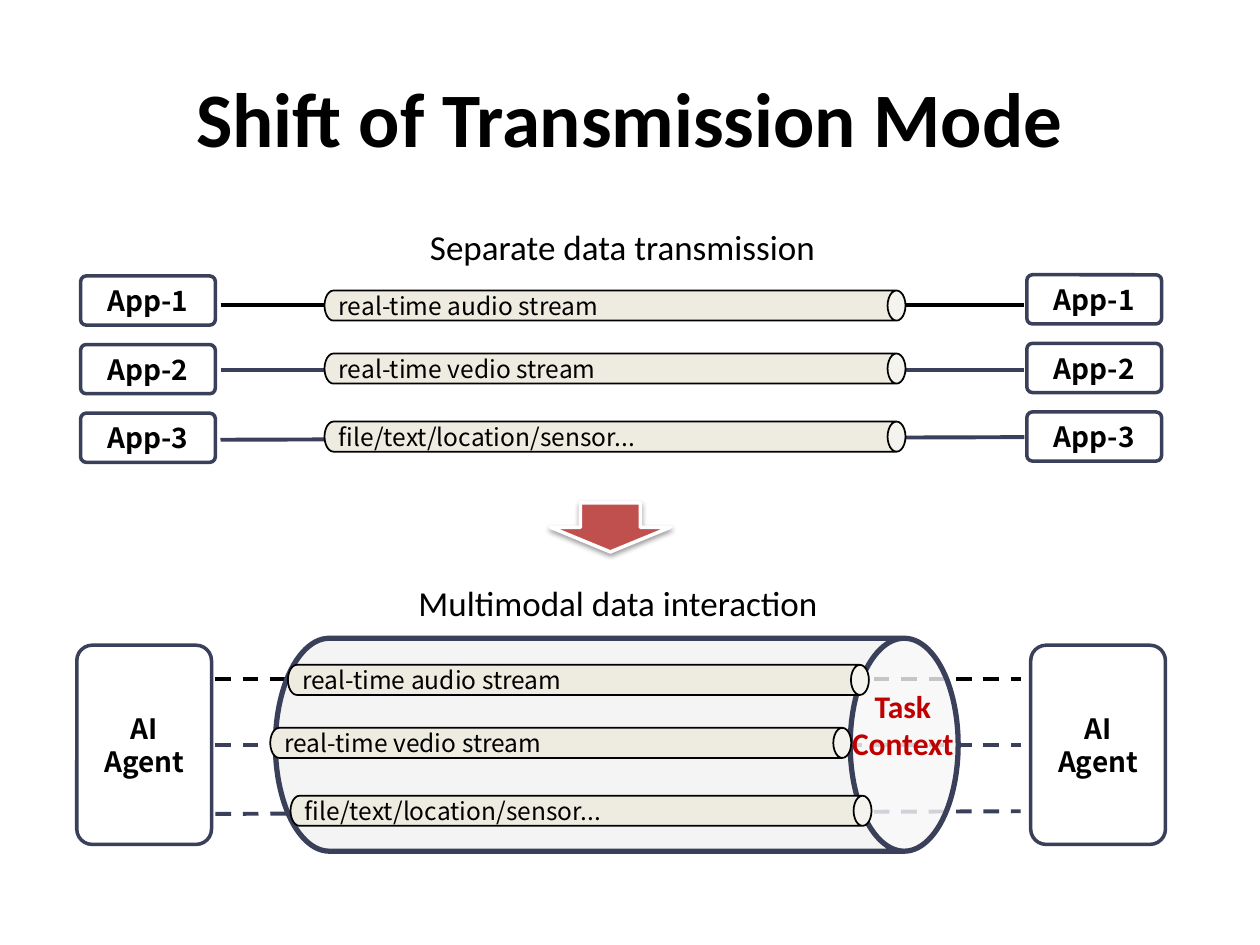
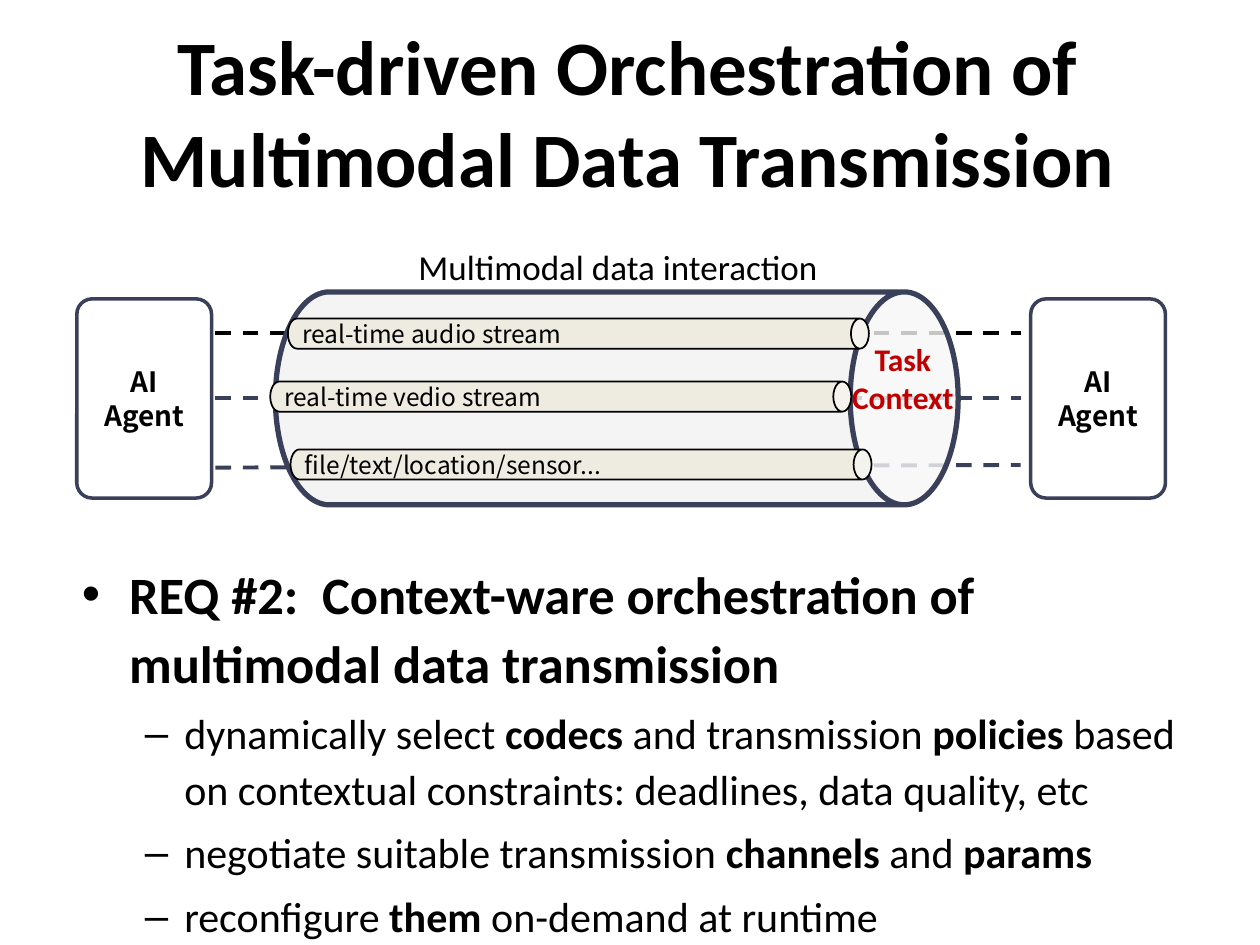
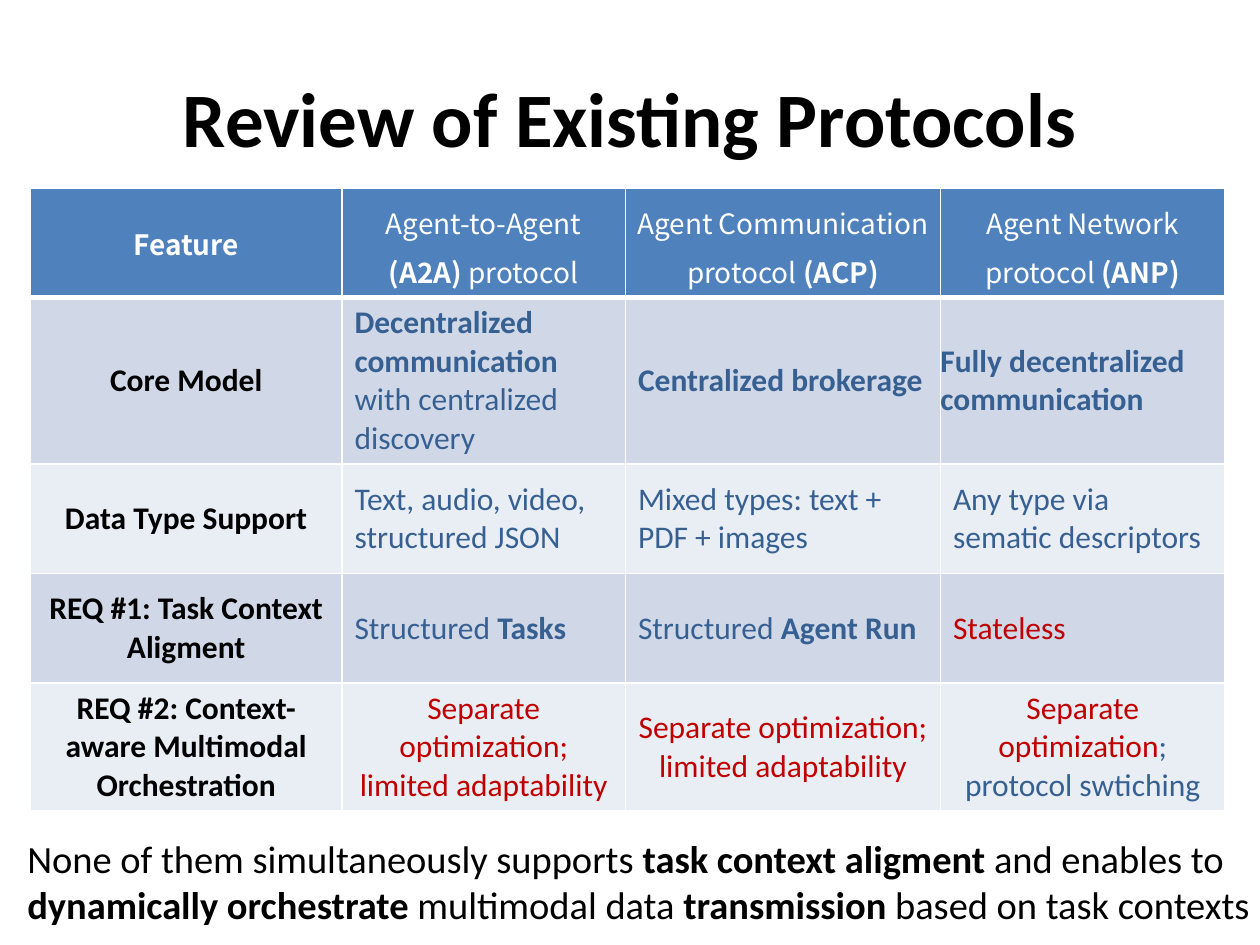
from dataclasses import dataclass
from typing import Any, Optional

from lxml import etree
from pptx import Presentation
from pptx.dml.color import RGBColor
from pptx.enum.dml import MSO_LINE
from pptx.enum.shapes import MSO_CONNECTOR, MSO_SHAPE
from pptx.enum.text import MSO_ANCHOR, MSO_AUTO_SIZE, PP_ALIGN
from pptx.oxml.ns import qn
from pptx.util import Pt

CAN, ROUNDED, DOWN_ARROW = MSO_SHAPE.CAN, MSO_SHAPE.ROUNDED_RECTANGLE, MSO_SHAPE.DOWN_ARROW
STRAIGHT, DASH = MSO_CONNECTOR.STRAIGHT, MSO_LINE.DASH
LEFT, CENTER, MIDDLE = PP_ALIGN.LEFT, PP_ALIGN.CENTER, MSO_ANCHOR.MIDDLE
NO_FIT, GROW = MSO_AUTO_SIZE.NONE, MSO_AUTO_SIZE.SHAPE_TO_FIT_TEXT
TITLE_ONLY, TITLE_AND_BODY = 5, 1


@dataclass(frozen=True)
class Theme:
    sans: str = "Calibri"
    diagram: str = "Noto Sans CJK SC"
    black: str = "000000"
    white: str = "FFFFFF"
    navy: str = "3A405A"
    red: str = "C00000"
    blue: str = "376092"
    header: str = "4F81BD"
    bands: tuple[str, str] = ("D0D8E8", "E9EDF4")
    stream: str = "EEECE1"
    pipe: str = "F2F2F2"
    arrow: str = "C0504D"
    title_size: float = 44
    body_sizes: tuple[float, float] = (30, 24)
    summary_size: float = 22
    label_size: float = 20
    cell_size: float = 18
    box_size: float = 16
    stream_size: float = 14


THEME = Theme()


@dataclass(frozen=True)
class Box:
    left: float
    top: float
    width: float
    height: float

    def lengths(self) -> tuple:
        return Pt(self.left), Pt(self.top), Pt(self.width), Pt(self.height)


@dataclass(frozen=True)
class TextStyle:
    size: float
    font: str = THEME.sans
    color: str = THEME.black
    bold: bool = False
    align: Any = CENTER


@dataclass(frozen=True)
class Stream:
    text: str
    left: float
    center: float


@dataclass(frozen=True)
class Link:
    start: float
    end: float
    color: str = THEME.navy


@dataclass(frozen=True)
class Cell:
    text: str
    color: str = THEME.blue
    align: Any = LEFT
    tail: str = ""
    inset: Optional[float] = None


TITLE = TextStyle(THEME.title_size, bold=True)
LABEL = TextStyle(THEME.label_size)
BOX_TEXT = TextStyle(THEME.box_size, THEME.diagram, bold=True)
STREAM_TEXT = TextStyle(THEME.stream_size, THEME.diagram)
TASK_TEXT = TextStyle(THEME.cell_size, color=THEME.red, bold=True)
TITLE_BOX = Box(36, 21.6, 648, 90)

# Diagram measures
STREAM_LENGTH, STREAM_DEPTH = 332, 17.2
PIPE_LEFT, PIPE_LENGTH, PIPE_DEPTH = 157.3, 390.2, 121.7
BOX_WIDTH, APP_HEIGHT, APP_PITCH = 77, 28.1, 39.2
STREAM_NAMES = ("real-time audio stream", "real-time vedio stream", "file/text/location/sensor...")
SEPARATE_LINKS = (Link(174.2, 174.2, THEME.black), Link(211.7, 211.7), Link(251.3, 249.8))
SEPARATE_CENTERS = (174.6, 210.6, 249.5)
# Offsets from the top of the pipe
PIPE_LINKS = (Link(23.4, 23.4, THEME.black), Link(60.9, 60.9), Link(100.4, 98.9))
PIPE_STREAMS = [Stream(*values) for values in zip(STREAM_NAMES, (164.5, 154.4, 166), (23.8, 59.8, 98.6))]

REQUIREMENT = (
    (0, "**REQ #2:  Context-ware orchestration of multimodal data transmission**"),
    (1, "dynamically select **codecs** and transmission **policies** based on contextual "
        "constraints: deadlines, data quality, etc"),
    (1, "negotiate suitable transmission **channels** and **params**"),
    (1, "reconfigure **them** on-demand at runtime"),
)

COLUMN_WIDTHS = (178, 162, 180, 162.6)
ROW_HEIGHTS = (62.6, 80, 62.6, 62.6, 62.6)
HEADINGS = (
    Cell("**Feature**"),
    Cell("Agent-to-Agent **(A2A) **protocol"),
    Cell("Agent Communication protocol** (ACP)**", inset=3),
    Cell("Agent Network protocol** (ANP)**"),
)
LIMITED = Cell("Separate optimization; limited adaptability", THEME.red, CENTER)
FEATURES = (
    ("Core Model",
     Cell("**Decentralized communication **with centralized discovery"),
     Cell("**Centralized brokerage**"),
     Cell("**Fully decentralized communication**", inset=0)),
    ("Data Type Support",
     Cell("Text, audio, video, structured JSON"),
     Cell("Mixed types: text + PDF + images"),
     Cell("Any type via sematic descriptors")),
    ("REQ #1: Task Context Aligment",
     Cell("Structured **Tasks**"),
     Cell("Structured **Agent Run**"),
     Cell("Stateless", THEME.red)),
    ("REQ #2: Context-aware Multimodal Orchestration",
     LIMITED,
     LIMITED,
     Cell("Separate optimization", THEME.red, CENTER, tail="; protocol swtiching")),
)
SUMMARY = ("None of them simultaneously supports **task context aligment **and enables to "
           "**dynamically orchestrate** multimodal data **transmission** based on task contexts")


# Formatting helpers
def apply(target: Any, values: dict) -> None:
    for name, value in values.items():
        setattr(target, name, value)


def rgb(color: str) -> RGBColor:
    return RGBColor.from_string(color)


def add_runs(paragraph: Any, text: str, style: TextStyle) -> None:
    """Add runs; a pair of ** switches bold on and off."""
    paragraph.alignment = style.align
    for index, part in enumerate(text.split("**")):
        if part:
            run = paragraph.add_run()
            run.text = part
            bold = style.bold or index % 2 == 1
            apply(run.font, {"size": Pt(style.size), "name": style.font, "bold": bold})
            run.font.color.rgb = rgb(style.color)


def set_space_before(paragraph: Any, percent: int) -> None:
    spacing = etree.SubElement(paragraph._p.get_or_add_pPr(), qn("a:spcBef"))
    etree.SubElement(spacing, qn("a:spcPct"), val=str(percent * 1000))


def set_line(line: Any, color: str, width: float) -> None:
    line.color.rgb = rgb(color)
    line.width = Pt(width)


# Drawing functions
def add_title(slide: Any, text: str, box: Box = TITLE_BOX) -> None:
    place_text(slide.shapes.title, box)
    add_runs(slide.shapes.title.text_frame.paragraphs[0], text, TITLE)


def place_text(placeholder: Any, box: Box) -> None:
    apply(placeholder, dict(zip(("left", "top", "width", "height"), box.lengths())))
    apply(placeholder.text_frame, {"auto_size": NO_FIT, "word_wrap": True})


def add_label(slide: Any, text: str, box: Box, style: TextStyle = LABEL) -> Any:
    frame = slide.shapes.add_textbox(*box.lengths()).text_frame
    apply(frame, {"word_wrap": True, "auto_size": GROW})
    add_runs(frame.paragraphs[0], text, style)
    return frame.paragraphs[0]


def add_shape(slide: Any, kind: Any, box: Box, fill: Optional[str], line: str, width: float) -> Any:
    shape = slide.shapes.add_shape(kind, *box.lengths())
    shape.shadow.inherit = False
    if fill:
        shape.fill.solid()
        shape.fill.fore_color.rgb = rgb(fill)
    else:
        shape.fill.background()
    set_line(shape.line, line, width)
    return shape


def add_box(slide: Any, text: str, box: Box) -> None:
    shape = add_shape(slide, ROUNDED, box, None, THEME.navy, 2)
    shape.adjustments[0] = 0.114
    add_runs(shape.text_frame.paragraphs[0], text, BOX_TEXT)


def add_can(slide: Any, left: float, center: float, length: float, depth: float,
            fill: str, line: str, width: float, lid: float) -> Any:
    """Lay a can on its side, with its lid to the right."""
    box = Box(left + (length - depth) / 2, center - length / 2, depth, length)
    shape = add_shape(slide, CAN, box, fill, line, width)
    shape.rotation = 90
    shape.adjustments[0] = lid
    return shape


def add_stream(slide: Any, stream: Stream, top: float = 0) -> None:
    shape = add_can(slide, stream.left, top + stream.center, STREAM_LENGTH, STREAM_DEPTH,
                    THEME.stream, THEME.black, 1, 0.595)
    frame = shape.text_frame
    apply(frame, {"word_wrap": False, "margin_left": Pt(6.5), "margin_right": Pt(6.5),
                  "margin_top": Pt(3), "margin_bottom": Pt(3)})
    # Turn the text back to horizontal
    for name, value in {"vert": "eaVert", "rot": "10800000"}.items():
        frame._txBody.bodyPr.set(name, value)
    add_runs(frame.paragraphs[0], stream.text, STREAM_TEXT)
    set_space_before(frame.paragraphs[0], 50)


def add_link(slide: Any, link: Link, left: float, right: float, top: float = 0,
             dashed: bool = False) -> None:
    connector = slide.shapes.add_connector(
        STRAIGHT, Pt(left), Pt(top + link.start), Pt(right), Pt(top + link.end))
    set_line(connector.line, link.color, 2.25)
    if dashed:
        connector.line.dash_style = DASH
    etree.SubElement(connector._element.spPr, qn("a:effectLst"))


def add_interaction(slide: Any, label_top: float, top: float) -> None:
    """Draw two agents joined by one pipe that carries all streams."""
    for link in PIPE_LINKS:
        add_link(slide, link, 123.1, 583.2, top, dashed=True)
    pipe = add_can(slide, PIPE_LEFT, top + PIPE_DEPTH / 2, PIPE_LENGTH, PIPE_DEPTH,
                   THEME.pipe, THEME.navy, 3, 0.507)
    color = pipe._element.spPr.find(qn("a:solidFill"))[0]
    etree.SubElement(color, qn("a:alpha"), val="80000")
    for left in (43.9, 589):
        add_box(slide, "AI Agent", Box(left, top + 4, BOX_WIDTH, 113.8))
    add_label(slide, "Multimodal data interaction", Box(123.1, label_top, 460.1, 31.7))
    for stream in PIPE_STREAMS:
        add_stream(slide, stream, top)
    add_label(slide, "Task Context", Box(478.8, top + 24.1, 74.2, 51.1), TASK_TEXT)


def add_down_arrow(slide: Any) -> None:
    arrow = add_shape(slide, DOWN_ARROW, Box(314.6, 287.3, 68.4, 28.1), THEME.arrow, THEME.white, 2)
    effects = arrow._element.spPr.find(qn("a:effectLst"))
    shadow = etree.SubElement(effects, qn("a:outerShdw"), blurRad=str(Pt(3.1)), dist=str(Pt(1.6)),
                              dir="5400000", rotWithShape="0")
    color = etree.SubElement(shadow, qn("a:srgbClr"), val=THEME.black)
    etree.SubElement(color, qn("a:alpha"), val="38000")


def set_borders(cell: Any, top: float, bottom: float) -> None:
    properties = cell._tc.get_or_add_tcPr()
    for side, width in {"lnL": 1, "lnR": 1, "lnT": top, "lnB": bottom}.items():
        line = etree.SubElement(properties, qn(f"a:{side}"), w=str(Pt(width)))
        fill = etree.SubElement(line, qn("a:solidFill"))
        etree.SubElement(fill, qn("a:srgbClr"), val=THEME.white)


def fill_cell(cell: Any, content: Cell, style: TextStyle, fill: str) -> Any:
    cell.vertical_anchor = MIDDLE
    if content.inset is not None:
        apply(cell, {"margin_left": Pt(content.inset), "margin_right": Pt(content.inset)})
    cell.fill.solid()
    cell.fill.fore_color.rgb = rgb(fill)
    paragraph = cell.text_frame.paragraphs[0]
    add_runs(paragraph, content.text, style)
    if content.tail:
        add_runs(paragraph, content.tail, TextStyle(style.size, color=THEME.blue, align=style.align))
    return paragraph


def add_protocol_table(slide: Any) -> None:
    box = Box(17.4, 107.5, sum(COLUMN_WIDTHS), sum(ROW_HEIGHTS))
    table = slide.shapes.add_table(len(ROW_HEIGHTS), len(COLUMN_WIDTHS), *box.lengths()).table
    for column, width in zip(table.columns, COLUMN_WIDTHS):
        column.width = Pt(width)
    for row, height in zip(table.rows, ROW_HEIGHTS):
        row.height = Pt(height)
    for row_index, row in enumerate(table.rows):
        for cell in row.cells:
            set_borders(cell, 3 if row_index == 1 else 1, 3 if row_index == 0 else 1)

    heading_style = TextStyle(THEME.box_size, THEME.diagram, THEME.white)
    for column, heading in enumerate(HEADINGS):
        paragraph = fill_cell(table.cell(0, column), heading, heading_style, THEME.header)
        if column:
            paragraph.line_spacing = 1.2
    for row_index, (feature, *contents) in enumerate(FEATURES, 1):
        name = Cell(f"**{feature}**", THEME.black, CENTER)
        for column, content in enumerate((name, *contents)):
            style = TextStyle(THEME.cell_size, color=content.color, align=content.align)
            fill_cell(table.cell(row_index, column), content, style, THEME.bands[(row_index - 1) % 2])


# Slides
def build_shift_slide(slide: Any) -> None:
    add_title(slide, "Shift of Transmission Mode")
    add_interaction(slide, 329, 364.7)
    for link in SEPARATE_LINKS:
        add_link(slide, link, 126, 585.4)
    for index, (name, center) in enumerate(zip(STREAM_NAMES, SEPARATE_CENTERS)):
        add_stream(slide, Stream(name, 185.4, center))
        for left, top in ((46.1, 157.7), (586.8, 157)):
            add_box(slide, f"App-{index + 1}", Box(left, top + index * APP_PITCH, BOX_WIDTH, APP_HEIGHT))
    add_label(slide, "Separate data transmission", Box(126, 125.3, 459.4, 31.7))
    add_down_arrow(slide)


def build_orchestration_slide(slide: Any) -> None:
    add_title(slide, "Task-driven Orchestration of Multimodal Data Transmission", Box(19.4, 9.4, 679, 108))
    add_interaction(slide, 136.8, 166.8)
    body = slide.placeholders[1]
    place_text(body, Box(39.6, 313.9, 643.7, 223.2))
    frame = body.text_frame
    for index, (level, text) in enumerate(REQUIREMENT):
        paragraph = frame.add_paragraph() if index else frame.paragraphs[0]
        apply(paragraph, {"level": level, "line_spacing": 1.1})
        add_runs(paragraph, text, TextStyle(THEME.body_sizes[level], align=LEFT))


def build_review_slide(slide: Any) -> None:
    add_title(slide, "Review of Existing Protocols")
    add_protocol_table(slide)
    summary = add_label(slide, SUMMARY, Box(8.6, 473.8, 717.1, 60.5),
                        TextStyle(THEME.summary_size, align=LEFT))
    set_space_before(summary, 20)


def main() -> None:
    presentation = Presentation()
    apply(presentation, {"slide_width": Pt(720), "slide_height": Pt(540)})
    for layout, build in ((TITLE_ONLY, build_shift_slide),
                          (TITLE_AND_BODY, build_orchestration_slide),
                          (TITLE_ONLY, build_review_slide)):
        build(presentation.slides.add_slide(presentation.slide_layouts[layout]))
    presentation.save("out.pptx")


if __name__ == "__main__":
    main()
